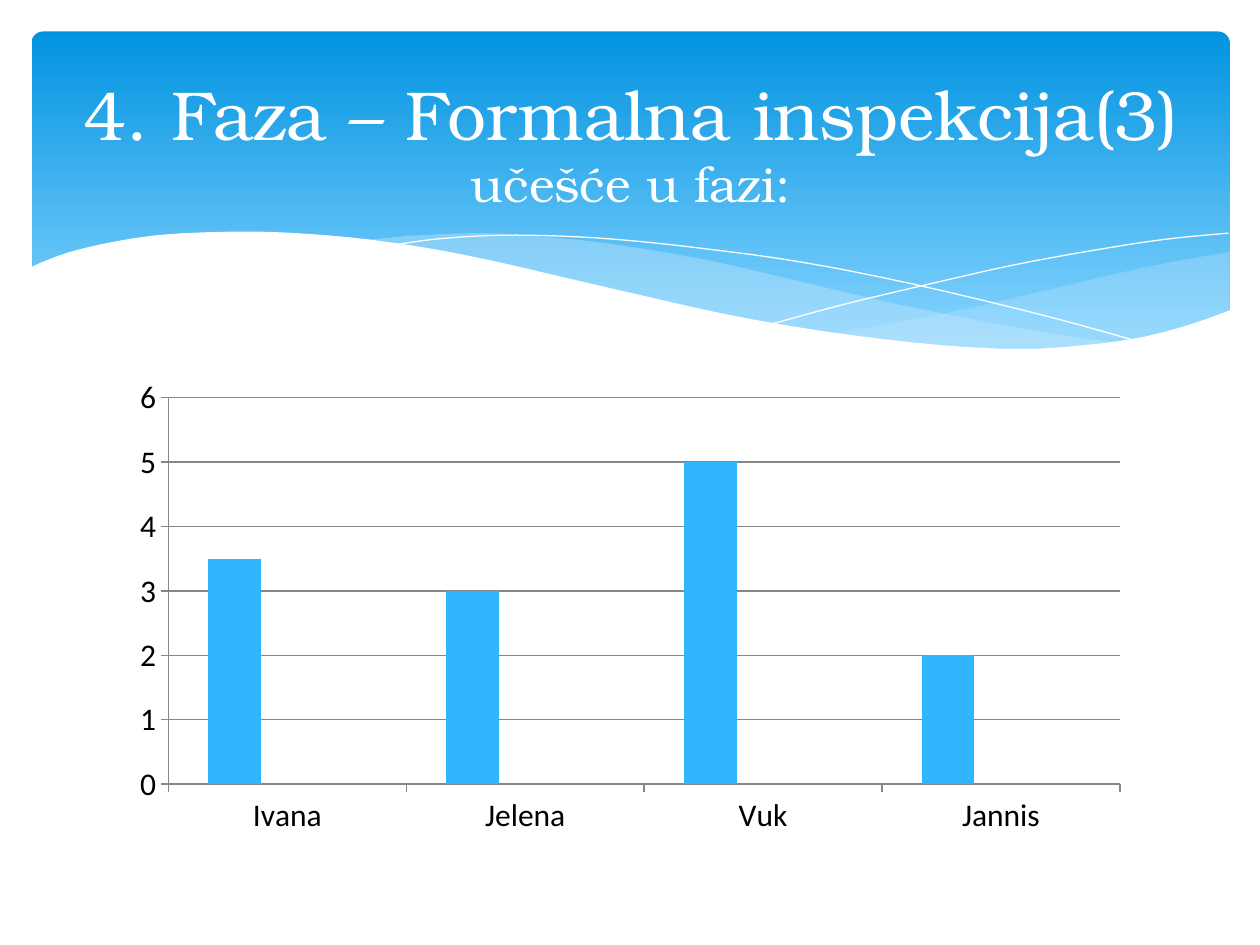
from lxml import etree
from pptx import Presentation
from pptx import util as u
from pptx.chart.data import CategoryChartData
from pptx.dml.color import RGBColor
from pptx.enum import chart as ch, shapes, text
from pptx.oxml import ns

HUE = {"top": "0293E0", "low": "83D3FE", "mist": "C6E7FC", "white": "FFFFFF",
       "black": "000000", "grid": "868686", "blue": "31B6FD",
       "navy": "4584D3", "green": "5BD078"}


def rgb(name):
    return RGBColor.from_string(HUE[name])


def draw(curves, tail=(), closed=True):
    """Draw smooth curves through their key points, then straight tail points."""
    dots = []
    for keys in curves:
        ends = [keys[0], *keys, keys[-1]]
        dots.append(keys[0])
        for a, b, c, d in zip(ends, ends[1:], ends[2:], ends[3:]):
            for t in (0.25, 0.5, 0.75, 1):
                dots.append(tuple(
                    0.5 * (2 * q + (r - p) * t + (2 * p - 5 * q + 4 * r - s) * t**2
                           + (3 * q - p - 3 * r + s) * t**3)
                    for p, q, r, s in zip(a, b, c, d)))
    dots = [(u.Inches(x), u.Inches(y)) for x, y in dots + list(tail)]
    pen = slide.shapes.build_freeform(*dots[0])
    pen.add_line_segments(dots[1:], close=closed)
    form = pen.convert_to_shape()
    form.shadow.inherit = False
    return form


prs = Presentation()
prs.slide_width, prs.slide_height = u.Inches(10), u.Inches(7.5)
slide = prs.slides.add_slide(prs.slide_layouts[5])

# Blue banner
band = slide.shapes.add_shape(shapes.MSO_SHAPE.ROUNDED_RECTANGLE, u.Inches(0.25),
                              u.Inches(0.25), u.Inches(9.51), u.Inches(2.7))
band.adjustments[0] = 0.034
band.shadow.inherit = False
band.line.fill.background()
band.fill.gradient()
band.fill.gradient_angle = 270
for stop, name, pos in zip(band.fill.gradient_stops, ("top", "low"), (0, 0.9)):
    stop.color.rgb, stop.position = rgb(name), pos

# Pale waves: upper edge, lower edge, opacity in percent
waves = [
    ([(9.76, 2), (9.35, 2.07), (8.91, 2.16), (8.32, 2.3), (7.53, 2.48), (6.61, 2.65)],
     [(6.61, 2.65), (7.05, 2.71), (7.57, 2.76), (8.14, 2.78), (8.63, 2.75),
      (9.05, 2.69), (9.42, 2.59), (9.76, 2.47)], 29),
    ([(8.93, 2.73), (8.37, 2.65), (7.75, 2.54), (7.06, 2.4), (6.29, 2.22), (5.69, 2.08),
      (5.14, 1.98), (4.65, 1.91), (4.2, 1.87), (3.8, 1.85), (3.28, 1.87), (2.86, 1.91)],
     [(2.86, 1.91), (3.42, 1.99), (4.04, 2.11), (4.91, 2.32), (5.66, 2.48),
      (6.34, 2.61), (6.95, 2.7), (7.48, 2.76), (8.07, 2.78), (8.57, 2.77),
      (8.93, 2.73)], 40),
]
for edge, base, pct in waves:
    wave = draw([edge, base])
    wave.line.fill.background()
    wave.fill.solid()
    wave.fill.fore_color.rgb = rgb("mist")
    tint = wave.fill._xPr.find(".//" + ns.qn("a:srgbClr"))
    etree.SubElement(tint, ns.qn("a:alpha"), val=str(pct * 1000))

# Thin white lines
lines = [
    [(3.09, 1.95), (3.44, 1.9), (3.87, 1.87), (4.33, 1.87), (4.89, 1.9), (5.56, 1.97),
     (6.36, 2.08), (7.27, 2.26), (8.31, 2.51), (9.07, 2.72)],
    [(6.13, 2.57), (6.72, 2.41), (7.48, 2.23), (8.06, 2.1), (8.66, 1.99),
     (9.24, 1.9), (9.75, 1.85)],
]
for keys in lines:
    line = draw([keys], closed=False)
    line.fill.background()
    line.line.color.rgb = rgb("white")
    line.line.width = u.Pt(0)

# White wave that cuts the banner's lower edge
front = draw([[(9.77, 2.46), (9.4, 2.59), (8.99, 2.69), (8.5, 2.75), (8.09, 2.77),
               (7.61, 2.75), (7.08, 2.7), (6.48, 2.62), (5.79, 2.5), (5.03, 2.33),
               (4.47, 2.2), (3.91, 2.07), (3.4, 1.97), (2.92, 1.9), (2.5, 1.86),
               (2.11, 1.84), (1.77, 1.84), (1.32, 1.86), (0.95, 1.91), (0.59, 1.99),
               (0.36, 2.07), (0.23, 2.13)]], [(0.23, 3.29), (9.77, 3.29)])
front.line.fill.background()
front.fill.solid()
front.fill.fore_color.rgb = rgb("white")

# Column chart
data = CategoryChartData()
data.categories = ["Ivana", "Jelena", "Vuk", "Jannis"]
data.add_series("Series 1", [3.5, 3, 5, 2])
data.add_series("Series 2", [None] * 4)
data.add_series("Series 3", [None] * 4)
chart = slide.shapes.add_chart(ch.XL_CHART_TYPE.COLUMN_CLUSTERED, u.Inches(0.95),
                               u.Inches(2.93), u.Inches(8.1), u.Inches(3.77), data).chart
chart.has_legend = chart.has_title = False
chart.font.name, chart.font.size = "Calibri", u.Pt(18)
chart.font.color.rgb = rgb("black")
plot = chart.plots[0]
plot.gap_width = 150
plot.vary_by_categories = False
for row, name in zip(plot.series, ("blue", "navy", "green")):
    row.format.fill.solid()
    row.format.fill.fore_color.rgb = rgb(name)
for axis in (chart.category_axis, chart.value_axis):
    axis.major_tick_mark = ch.XL_TICK_MARK.OUTSIDE
    axis.minor_tick_mark = ch.XL_TICK_MARK.NONE
    axis.format.line.color.rgb = rgb("grid")
axis = chart.value_axis
axis.minimum_scale, axis.maximum_scale, axis.major_unit = 0, 6, 1
axis.has_major_gridlines = True
axis.major_gridlines.format.line.color.rgb = rgb("grid")

# Title, brought in front of the banner
title = slide.shapes.title
title.left, title.top = u.Inches(0.51), u.Inches(0.44)
title.width, title.height = u.Inches(9), u.Inches(1.37)
title.element.getparent().append(title.element)
frame = title.text_frame
frame.text = "4. Faza – Formalna inspekcija(3)\vučešće u fazi:"
frame.word_wrap = True
frame.auto_size = text.MSO_AUTO_SIZE.NONE
frame.vertical_anchor = text.MSO_ANCHOR.MIDDLE
para = frame.paragraphs[0]
para.alignment = text.PP_ALIGN.CENTER
for run, size in zip(para.runs, (39.6, 27.9)):
    run.font.name, run.font.size = "TeX Gyre Bonum", u.Pt(size)
    run.font.color.rgb = rgb("white")

prs.save("out.pptx")
